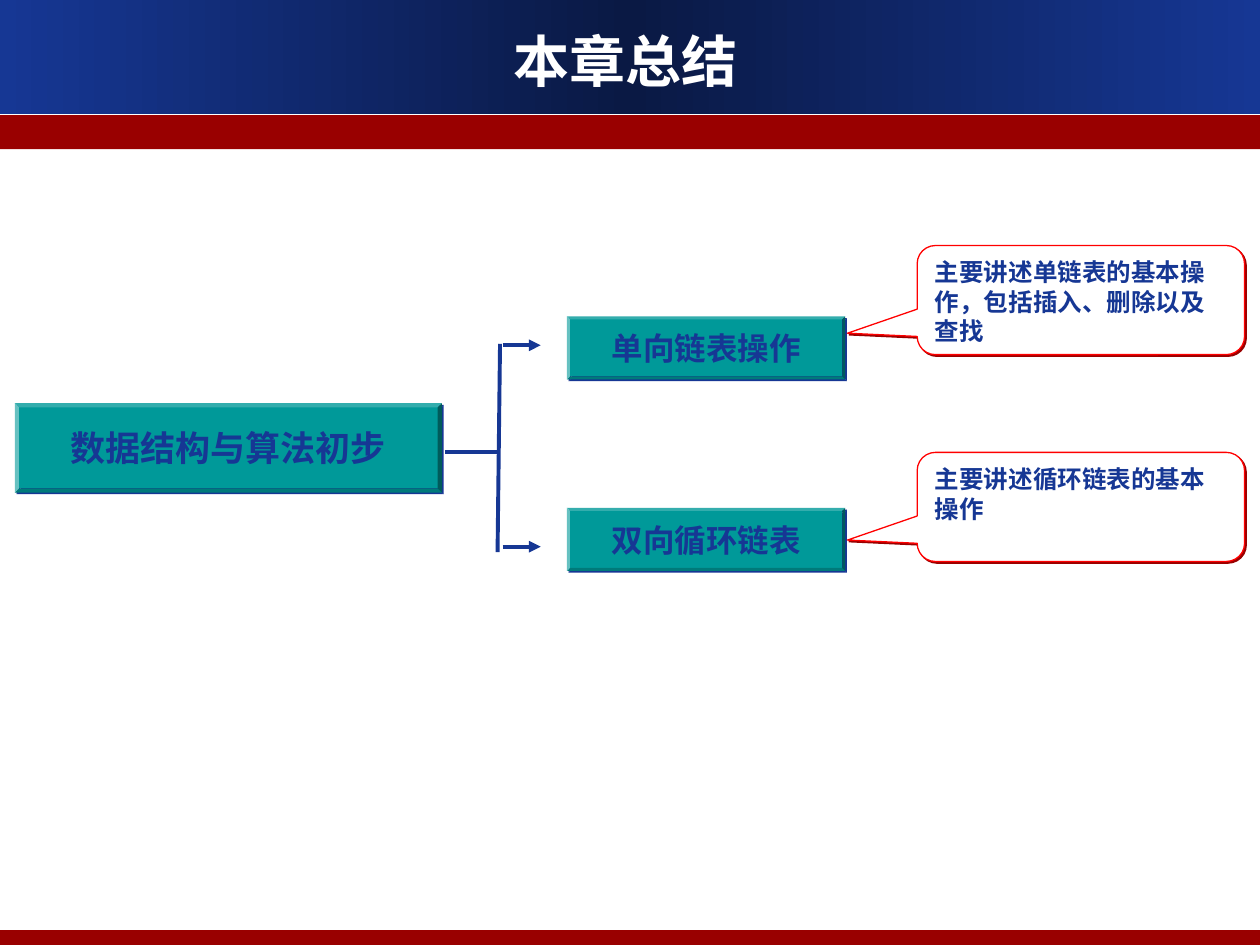
from copy import deepcopy
from dataclasses import dataclass

from pptx import Presentation
from pptx.dml.color import RGBColor
from pptx.enum.shapes import MSO_CONNECTOR, MSO_SHAPE
from pptx.enum.text import MSO_ANCHOR, PP_ALIGN
from pptx.oxml import parse_xml
from pptx.oxml.ns import nsdecls, qn
from pptx.util import Cm, Pt

RECTANGLE = MSO_SHAPE.RECTANGLE
BEVEL = MSO_SHAPE.BEVEL
CALLOUT = MSO_SHAPE.ROUNDED_RECTANGULAR_CALLOUT
STRAIGHT = MSO_CONNECTOR.STRAIGHT
MIDDLE, TOP = MSO_ANCHOR.MIDDLE, MSO_ANCHOR.TOP
CENTER, LEFT = PP_ALIGN.CENTER, PP_ALIGN.LEFT
TITLE_ONLY = 5


@dataclass(frozen=True)
class Theme:
    navy: str = "163794"
    midnight: str = "0A1944"
    red: str = "990000"
    outline: str = "FF0000"
    teal: str = "009999"
    white: str = "FFFFFF"
    title_font: str = "DejaVu Sans"
    node_font: str = "Noto Sans CJK SC"
    note_font: str = "Arial Narrow"
    title_size: int = 32
    root_size: int = 20
    branch_size: int = 18
    note_size: int = 14


class SlideBuilder:
    def __init__(self, slide, theme):
        self.slide = slide
        self.theme = theme

    def set_text(self, shape, text, name, size, color, align, anchor, wrap):
        """Put one bold paragraph in a shape."""
        frame = shape.text_frame
        frame.text = text
        margins = {"margin_left": 0.25, "margin_right": 0.25,
                   "margin_top": 0.13, "margin_bottom": 0.13}
        for attribute, value in margins.items():
            setattr(frame, attribute, Cm(value))
        frame.vertical_anchor, frame.word_wrap = anchor, wrap
        paragraph = frame.paragraphs[0]
        paragraph.alignment = align
        font = paragraph.runs[0].font
        for attribute, value in {"name": name, "size": Pt(size), "bold": True}.items():
            setattr(font, attribute, value)
        font.color.rgb = RGBColor.from_string(color)
        properties = paragraph.runs[0]._r.get_or_add_rPr()
        properties.append(parse_xml(f'<a:ea {nsdecls("a")} typeface="{name}"/>'))

    def shape(self, kind, box, fill, adjustments=()):
        """Add a preset shape without outline or inherited shadow."""
        shape = self.slide.shapes.add_shape(kind, *map(Cm, box))
        shape.shadow.inherit = False
        shape.fill.solid()
        shape.fill.fore_color.rgb = RGBColor.from_string(fill)
        shape.line.fill.background()
        for index, value in enumerate(adjustments):
            shape.adjustments[index] = value
        return shape

    def hard_shadow(self, shape, color):
        effects = shape._element.spPr.find(qn("a:effectLst"))
        effects.append(parse_xml(
            f'<a:outerShdw {nsdecls("a")} blurRad="0" dist="{Pt(1.4)}" dir="2700000"'
            f' algn="ctr" rotWithShape="0"><a:srgbClr val="{color}"/></a:outerShdw>'))

    def gradient_band(self, box, edge, middle):
        shape = self.shape(RECTANGLE, box, edge)
        fill = shape.fill
        fill.gradient()
        fill.gradient_angle = 0
        stop_list = shape._element.spPr.find(qn("a:gradFill")).find(qn("a:gsLst"))
        stop_list.append(deepcopy(stop_list[-1]))
        for stop, position, color in zip(fill.gradient_stops, (0, 0.5, 1),
                                         (edge, middle, edge)):
            stop.position = position
            stop.color.rgb = RGBColor.from_string(color)

    def title(self, text, box):
        theme, title = self.theme, self.slide.shapes.title
        title.left, title.top, title.width, title.height = map(Cm, box)
        self.set_text(title, text, theme.title_font, theme.title_size, theme.white,
                      CENTER, MIDDLE, True)
        # Bring the title in front of the header band
        self.slide.shapes._spTree.append(title._element)

    def node(self, text, box, size):
        theme = self.theme
        shape = self.shape(BEVEL, box, theme.teal, [0.047])
        self.hard_shadow(shape, theme.navy)
        self.set_text(shape, text, theme.node_font, size, theme.navy,
                      CENTER, MIDDLE, False)

    def note(self, text, box):
        theme = self.theme
        shape = self.shape(CALLOUT, box, theme.white, [-0.713, 0.304, 0.167])
        shape.line.color.rgb = RGBColor.from_string(theme.outline)
        shape.line.width = Pt(0.75)
        self.hard_shadow(shape, theme.red)
        self.set_text(shape, text, theme.note_font, theme.note_size, theme.navy,
                      LEFT, TOP, True)

    def line(self, start, end, arrow=False):
        connector = self.slide.shapes.add_connector(STRAIGHT, *map(Cm, start + end))
        connector.line.color.rgb = RGBColor.from_string(self.theme.navy)
        connector.line.width = Pt(2.25)
        connector._element.spPr.append(parse_xml(f'<a:effectLst {nsdecls("a")}/>'))
        if arrow:
            connector.line._get_or_add_ln().append(
                parse_xml(f'<a:tailEnd {nsdecls("a")} type="triangle"/>'))


def main():
    theme = Theme()
    presentation = Presentation()
    presentation.slide_width, presentation.slide_height = Cm(25.4), Cm(19.05)
    slide = presentation.slides.add_slide(presentation.slide_layouts[TITLE_ONLY])
    builder = SlideBuilder(slide, theme)

    # Header and footer bands
    builder.gradient_band((0, 0, 25.4, 2.31), theme.navy, theme.midnight)
    for top, height in ((2.32, 0.69), (18.75, 0.3)):
        builder.shape(RECTANGLE, (0, top, 25.4, height), theme.red)
    builder.title("本章总结", (1.96, 0.41, 21.29, 1.6))

    # Root topic with its stem and trunk
    builder.node("数据结构与算法初步", (0.3, 8.13, 8.61, 1.8), theme.root_size)
    builder.line((8.97, 9.12), (10.06, 9.12))
    builder.line((10.08, 6.93), (10.03, 11.13))

    # Branches: arrow, topic and explanation
    branches = (
        ("单向链表操作", "主要讲述单链表的基本操作，包括插入、删除以及查找"),
        ("双向循环链表", "主要讲述循环链表的基本操作"),
    )
    for row, (topic, explanation) in enumerate(branches):
        arrow_y = 6.96 + 4.06 * row
        builder.line((10.13, arrow_y), (10.9, arrow_y), arrow=True)
        builder.node(topic, (11.43, 6.38 + 3.86 * row, 5.61, 1.27), theme.branch_size)
        builder.note(explanation, (18.49, 4.95 + 4.17 * row, 6.6, 2.2))

    presentation.save("out.pptx")


if __name__ == "__main__":
    main()
